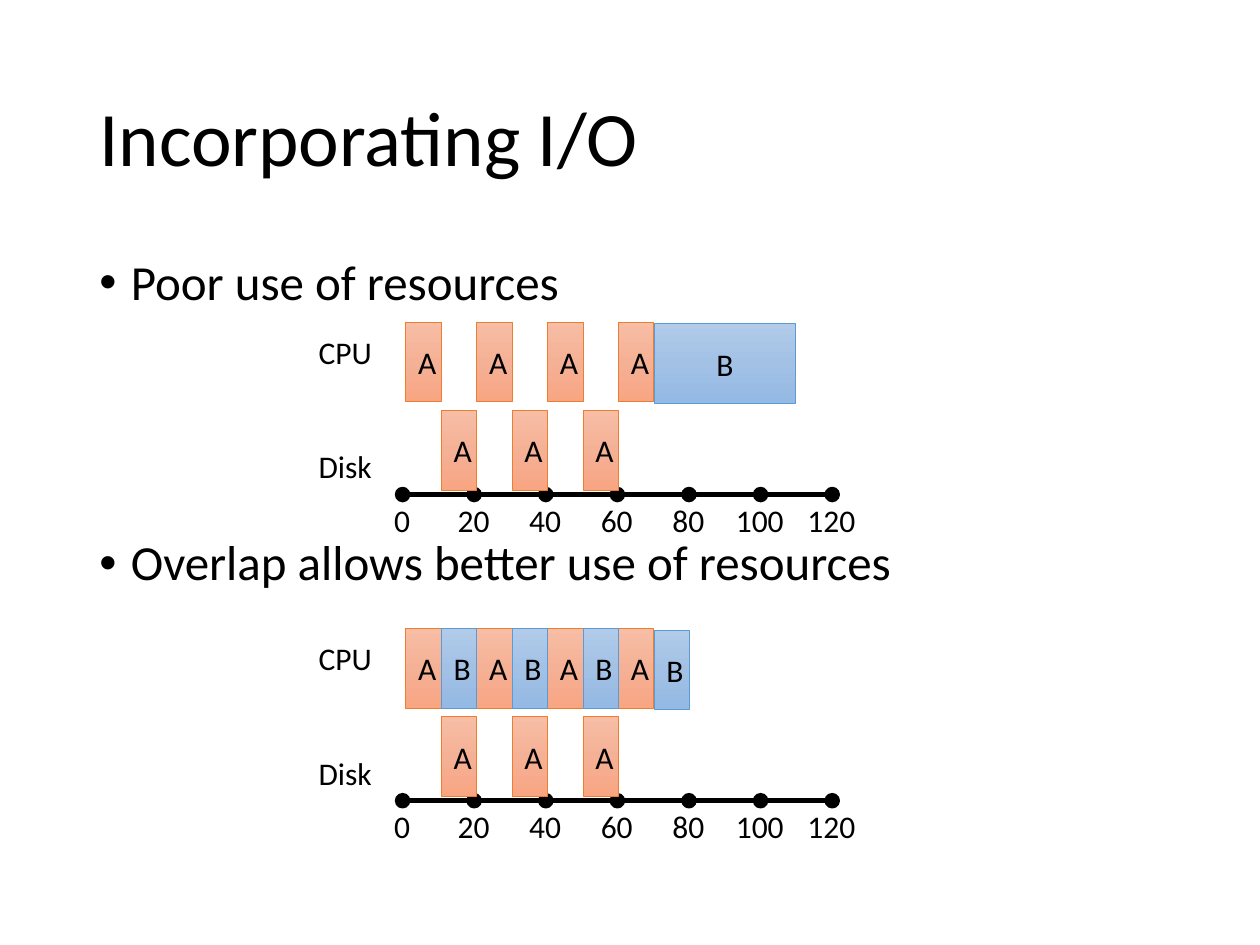
from copy import deepcopy

from lxml import etree
from pptx import Presentation
from pptx.dml.color import RGBColor
from pptx.enum.shapes import MSO_CONNECTOR, MSO_SHAPE
from pptx.enum.text import MSO_ANCHOR, MSO_AUTO_SIZE, PP_ALIGN
from pptx.oxml.ns import qn
from pptx.util import Inches, Pt

MIDDLE, TOP = MSO_ANCHOR.MIDDLE, MSO_ANCHOR.TOP
CENTER, LEFT = PP_ALIGN.CENTER, PP_ALIGN.LEFT
FIT_SHAPE = MSO_AUTO_SIZE.SHAPE_TO_FIT_TEXT
RECTANGLE, OVAL = MSO_SHAPE.RECTANGLE, MSO_SHAPE.OVAL
STRAIGHT = MSO_CONNECTOR.STRAIGHT

FONT = "Calibri"
BLACK = RGBColor(0x00, 0x00, 0x00)
ORANGE = RGBColor(0xED, 0x7D, 0x31)
BLUE = RGBColor(0x5B, 0x9B, 0xD5)
ORANGE_STOPS = (RGBColor(0xF7, 0xBD, 0xA5), RGBColor(0xF5, 0xB1, 0x96), RGBColor(0xF8, 0xA5, 0x82))
BLUE_STOPS = (RGBColor(0xB1, 0xCB, 0xE9), RGBColor(0xA3, 0xC1, 0xE5), RGBColor(0x93, 0xB9, 0xE4))
JOB_STYLES = {"A": (ORANGE, ORANGE_STOPS), "B": (BLUE, BLUE_STOPS)}

TITLE = "Incorporating I/O"
BULLETS = ["Poor use of resources", "Overlap allows better use of resources"]
ROW_LABELS = ["CPU", "Disk"]
TICKS = ["0", "20", "40", "60", "80", "100", "120"]

# Bars are (job, first slot, number of slots, extra drop in inches)
CPU_A = [("A", slot, 1, 0) for slot in (0, 2, 4, 6)]
DISK_A = [("A", slot, 1, 0) for slot in (1, 3, 5)]
TIMELINES = [
    {"top": 2.56, "cpu": CPU_A + [("B", 7, 4, 0.01)], "disk": DISK_A},
    {"top": 4.99,
     "cpu": CPU_A + [("B", 7, 1, 0.01)] + [("B", slot, 1, 0) for slot in (1, 3, 5)],
     "disk": DISK_A},
]

BARS_LEFT, SLOT, BAR_HEIGHT, DISK_DROP = 3.22, 1.97 / 7, 0.63, 0.7
AXIS_LEFT, AXIS_RIGHT, AXIS_DROP, DOT = 3.14, 6.66, 1.365, 0.11
TICK_STEP = (AXIS_RIGHT - AXIS_LEFT - DOT) / (len(TICKS) - 1)


def write_paragraphs(frame, texts, size, gap=0, bullet=False, **formats):
    """Fill a frame; gap is the space in points before every later paragraph."""
    for index, text in enumerate(texts):
        paragraph = frame.paragraphs[0] if index == 0 else frame.add_paragraph()
        paragraph.text = text
        if index:
            paragraph.space_before = Pt(gap)
        for name, value in formats.items():
            setattr(paragraph, name, value)
        if bullet:
            properties = paragraph._p.get_or_add_pPr()
            properties.set("marL", str(Inches(0.25)))
            properties.set("indent", str(-Inches(0.25)))
            etree.SubElement(properties, qn("a:buFont")).set("typeface", "Arial")
            etree.SubElement(properties, qn("a:buChar")).set("char", "•")
        for run in paragraph.runs:
            run.font.name = FONT
            run.font.size = Pt(size)
            run.font.color.rgb = BLACK


def add_text(shapes, box, texts, size, frame_formats, **paragraph_formats):
    frame = shapes.add_textbox(*map(Inches, box)).text_frame
    for name, value in frame_formats.items():
        setattr(frame, name, value)
    write_paragraphs(frame, texts, size, **paragraph_formats)


def add_axis(slide, y):
    shapes = slide.shapes.add_group_shape().shapes
    line = shapes.add_connector(
        STRAIGHT, *map(Inches, (AXIS_LEFT, y, AXIS_RIGHT, y)))
    line.line.color.rgb = BLACK
    line.line.width = Pt(3)
    etree.SubElement(line._element.spPr, qn("a:effectLst"))
    for index, label in enumerate(TICKS):
        left = AXIS_LEFT + index * TICK_STEP
        dot = shapes.add_shape(OVAL, *map(Inches, (left, y - DOT / 2, DOT, DOT)))
        dot.shadow.inherit = False
        dot.fill.solid()
        dot.fill.fore_color.rgb = BLACK
        dot.line.color.rgb = BLACK
        dot.line.width = Pt(1)
        width = 0.2 + 0.13 * len(label)
        add_text(shapes, (left + DOT / 2 - width / 2, y, width, 0.4), [label], 18,
                 {"word_wrap": False, "auto_size": FIT_SHAPE}, alignment=LEFT)


def fill_downwards(shape, colors):
    """Give the shape a three-stop gradient running from top to bottom."""
    shape.fill.gradient()
    shape.fill.gradient_angle = 270
    stop_list = shape._element.spPr.find(".//" + qn("a:gsLst"))
    stop_list.append(deepcopy(stop_list[-1]))
    for index, (stop, color) in enumerate(zip(shape.fill.gradient_stops, colors)):
        stop.position = index / 2
        stop.color.rgb = color


def add_bar(slide, top, job, slot, slots, drop):
    box = (BARS_LEFT + slot * SLOT, top + drop, slots * SLOT, BAR_HEIGHT)
    bar = slide.shapes.add_shape(RECTANGLE, *map(Inches, box))
    outline, stops = JOB_STYLES[job]
    bar.shadow.inherit = False
    fill_downwards(bar, stops)
    bar.line.color.rgb = outline
    bar.line.width = Pt(0.5)
    bar.text_frame.vertical_anchor = MIDDLE
    bar.text_frame.word_wrap = True
    write_paragraphs(bar.text_frame, [job], 18, alignment=CENTER)


def add_timeline(slide, top, cpu, disk):
    add_axis(slide, top + AXIS_DROP)
    add_text(slide.shapes, (2.43, top + 0.03, 0.63, 1.31), ROW_LABELS, 18,
             {"word_wrap": False, "auto_size": FIT_SHAPE}, gap=44)
    for row_top, bars in ((top, cpu), (top + DISK_DROP, disk)):
        for bar in bars:
            add_bar(slide, row_top, *bar)


def main():
    presentation = Presentation()
    presentation.slide_width = Inches(10)
    presentation.slide_height = Inches(7.5)
    slide = presentation.slides.add_slide(presentation.slide_layouts[6])
    add_text(slide.shapes, (0.69, 0.4, 8.62, 1.45), [TITLE], 44,
             {"word_wrap": True, "vertical_anchor": MIDDLE}, line_spacing=0.9)
    add_text(slide.shapes, (0.69, 2, 8.62, 4.76), BULLETS, 28,
             {"word_wrap": True, "vertical_anchor": TOP},
             gap=130, bullet=True, line_spacing=0.9)
    for timeline in TIMELINES:
        add_timeline(slide, **timeline)
    presentation.save("out.pptx")


if __name__ == "__main__":
    main()
